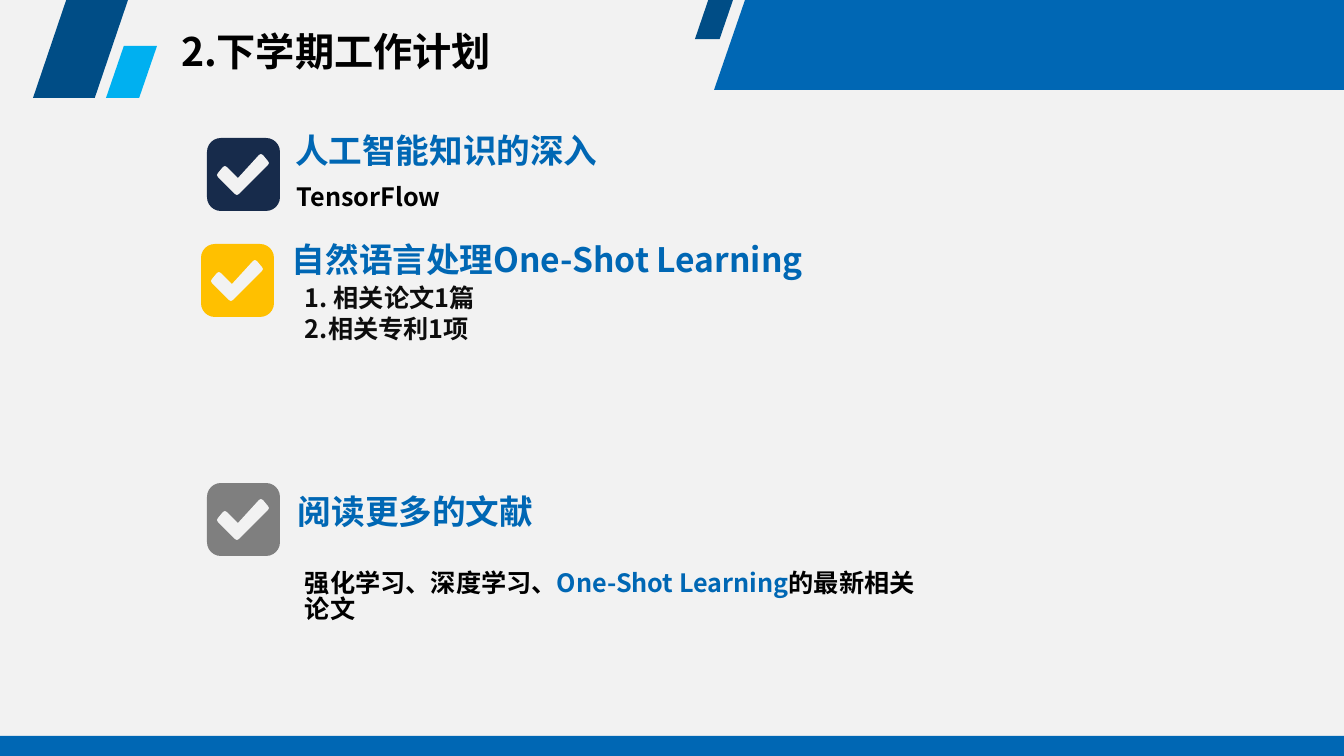
"""Build the slide with next term's work plan."""
from pptx import Presentation
from pptx.dml.color import RGBColor
from pptx.enum.shapes import MSO_SHAPE as SHAPE
from pptx.enum.text import MSO_ANCHOR as ANCHOR, MSO_AUTO_SIZE as AUTO, PP_ALIGN as ALIGN
from pptx.oxml.ns import qn
from pptx.util import Pt
from lxml.etree import SubElement

PX = 914400 / 100.8
THEME = {
    "font": "Noto Sans CJK SC",
    "paper": "F2F2F2", "blue": "0067B4", "deep": "004D86", "sky": "00B0F0",
    "navy": "172B4B", "gold": "FFC000", "grey": "7F7F7F",
    "black": "000000", "ink": "0D0D0D",
    "title": {"size": 28, "line": 0.9, "before": 0, "indent": 0},
    "heading": {"size": 24, "line": 0.9, "before": 6, "indent": 0},
    "detail": {"size": 18, "line": 0.85, "before": 4, "indent": 12},
}


def paint(sp, color):
    sp.shadow.inherit = False
    sp.fill.solid()
    sp.fill.fore_color.rgb = RGBColor.from_string(THEME[color])
    sp.line.fill.background()


def write(sp, box, style, paragraphs, inset=(0, 0)):
    look = THEME[style]
    for name, value in zip(("left", "top", "width", "height"), box):
        setattr(sp, name, round(value * PX))
    tf = sp.text_frame
    dx, dy = (round(v * PX) for v in inset)
    frame = {"word_wrap": True, "auto_size": AUTO.NONE, "vertical_anchor": ANCHOR.TOP,
             "margin_left": dx, "margin_right": dx, "margin_top": dy, "margin_bottom": dy}
    for name, value in frame.items():
        setattr(tf, name, value)
    for i, runs in enumerate(paragraphs):
        p = tf.add_paragraph() if i else tf.paragraphs[0]
        spacing = {"alignment": ALIGN.LEFT, "line_spacing": look["line"],
                   "space_before": Pt(look["before"]), "space_after": Pt(0)}
        for name, value in spacing.items():
            setattr(p, name, value)
        pPr = p._p.get_or_add_pPr()
        pPr.set("marL", str(round(look["indent"] * PX)))
        pPr.set("indent", "0")
        SubElement(pPr, qn("a:buNone"))
        for text, color in runs:
            r = p.add_run()
            r.text = text
            for name, value in {"name": THEME["font"], "size": Pt(look["size"]), "bold": True}.items():
                setattr(r.font, name, value)
            r.font.color.rgb = RGBColor.from_string(THEME[color])
            SubElement(r._r.get_or_add_rPr(), qn("a:ea"), typeface=THEME["font"])


prs = Presentation()
prs.slide_width, prs.slide_height = round(1344 * PX), round(756 * PX)
s = prs.slides.add_slide(prs.slide_layouts[1])
s.background.fill.solid()
s.background.fill.fore_color.rgb = RGBColor.from_string(THEME["paper"])

for kind, box, color in [
    (SHAPE.RECTANGLE, (0, 736, 1344, 20), "blue"),
    (SHAPE.PARALLELOGRAM, (33, 0, 95, 98), "deep"),
    (SHAPE.PARALLELOGRAM, (106, 46, 51, 52), "sky"),
    (SHAPE.PARALLELOGRAM, (695, 0, 38, 39), "deep"),
]:
    sp = s.shapes.add_shape(kind, *(round(v * PX) for v in box))
    if kind == SHAPE.PARALLELOGRAM:
        sp.adjustments[0] = 0.35
    paint(sp, color)

BANNER = [(714, 90), (745, 0), (1344, 0), (1344, 90)]
TICK = [(61, 27), (62, 25), (61, 23), (56, 17), (54, 16), (52, 17), (31, 40), (20, 29),
        (18, 28), (16, 29), (11, 35), (10, 37), (11, 39), (28, 56), (30, 57), (32, 56)]
outlines = [(BANNER, "blue")]
for left, top, color in [(207, 138, "navy"), (201, 244, "gold"), (207, 483, "grey")]:
    sp = s.shapes.add_shape(SHAPE.ROUNDED_RECTANGLE, *(round(v * PX) for v in (left, top, 73, 73)))
    sp.adjustments[0] = 0.19
    paint(sp, color)
    outlines.append(([(left + x, top + y) for x, y in TICK], "paper"))

for points, color in outlines:
    pen = s.shapes.build_freeform(*points[0], scale=PX)
    pen.add_line_segments(points[1:], close=True)
    paint(pen.convert_to_shape(), color)

write(s.shapes.title, (168, 26, 588, 60), "title", [[("2.下学期工作计划", "black")]], (13, 7))
write(s.placeholders[1], (293, 287, 825, 102), "detail",
      [[("1. 相关论文1篇", "ink")], [("2.相关专利1项", "ink")]])

for box, style, runs in [
    ((295, 134, 400, 40), "heading", [("人工智能知识的深入", "blue")]),
    ((285, 186, 646, 30), "detail", [("TensorFlow", "black")]),
    ((292, 244, 600, 40), "heading", [("自然语言处理One-Shot Learning", "blue")]),
    ((298, 496, 409, 40), "heading", [("阅读更多的文献", "blue")]),
    ((293, 572, 641, 62), "detail",
     [("强化学习、深度学习、", "black"), ("One-Shot Learning", "blue"), ("的最新相关论文", "black")]),
]:
    write(s.shapes.add_textbox(0, 0, 0, 0), box, style, [runs])

prs.save("out.pptx")
